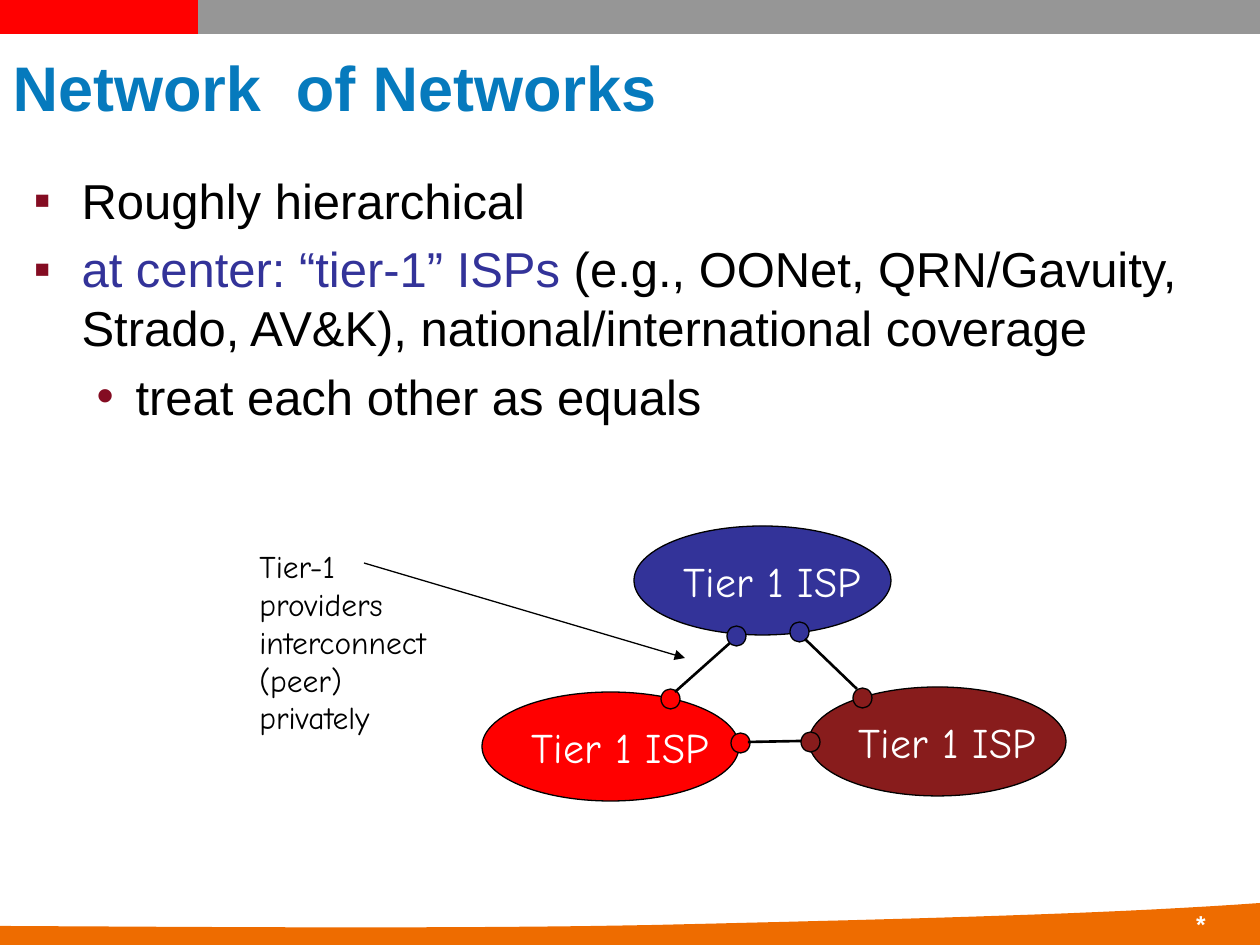
from pptx import Presentation, util as u
from pptx.dml.color import RGBColor
from pptx.enum import shapes as es, text as et
from pptx.oxml import parse_xml
from pptx.oxml.ns import nsdecls, qn
from lxml import etree

PX = 914400 // 126
BLACK, WHITE, RED, NAVY, MAROON = "000000", "FFFFFF", "FF0000", "333399", "881C1C"
HEAD = "Network  of Networks"
BODY = [
    (0, "▪", 48, 48, [("Roughly hierarchical", BLACK)]),
    (0, "▪", 48, 48, [
        ("at center: “tier-1” ISPs ", NAVY),
        ("(e.g., OONet, QRN/Gavuity, Strado, AV&K), national/international coverage", BLACK)]),
    (1, "•", 102, 39, [("treat each other as equals", BLACK)]),
]
NOTE = "Tier-1 providers interconnect (peer) privately"
ISPS = [(482, 692, RED), (634, 526, NAVY), (809, 687, MAROON)]
DOTS = [(853, 688, MAROON), (790, 622, NAVY), (727, 626, NAVY),
        (661, 689, RED), (731, 733, RED), (801, 732, MAROON)]
LINKS = [(748, 742, 801, 741), (805, 639, 857, 689), (675, 692, 730, 643)]
WAVE = [[(0, 926), (222, 927), (444, 929), (654, 925)],
        [(654, 925), (864, 920), (1096, 915), (1260, 903)]]

prs = Presentation()
prs.slide_width, prs.slide_height = 1260 * PX, 945 * PX
slide = prs.slides.add_slide(prs.slide_layouts[1])
parts = slide.shapes


def rgb(code):
    return RGBColor.from_string(code)


def place(shape, *box):
    shape.left, shape.top, shape.width, shape.height = (v * PX for v in box)


def style(font, size, color, name="Arial", bold=False):
    font.size, font.name, font.bold = u.Pt(size), name, bold
    font.color.rgb = rgb(color)


def line(ends, color=BLACK, width=0.75, arrow=False):
    link = parts.add_connector(es.MSO_CONNECTOR.STRAIGHT, *(v * PX for v in ends))
    link.line.color.rgb, link.line.width = rgb(color), u.Pt(width)
    if arrow:
        etree.SubElement(link.line._get_or_add_ln(), qn("a:tailEnd"), type="triangle")
    etree.SubElement(link._element.spPr, qn("a:effectLst"))


def oval(x, y, wide, high, color):
    shape = parts.add_shape(es.MSO_SHAPE.OVAL, *(v * PX for v in (x, y, wide, high)))
    shape.shadow.inherit = False
    shape.fill.solid()
    shape.fill.fore_color.rgb = rgb(color)
    shape.line.color.rgb, shape.line.width = rgb(BLACK), u.Pt(0.75)
    return shape


def label(box, words, size, color, name, bold=False):
    shape = parts.add_textbox(*(v * PX for v in box))
    shape.text_frame.word_wrap = True
    para = shape.text_frame.paragraphs[0]
    para.text = words
    style(para.font, size, color, name, bold)
    return para


def curve(a, b, c, d, steps=20):
    for i in range(1, steps + 1):
        t = i / steps
        s = 1 - t
        yield tuple(round((s**3 * p + 3 * s * s * t * q + 3 * s * t * t * r + t**3 * v) * PX)
                    for p, q, r, v in zip(a, b, c, d))


line((0, 17, 1260, 17), "969696", 20)
edge = [p for part in WAVE for p in curve(*part)]
form = parts.build_freeform(0, 926 * PX, 1.0)
form.add_line_segments(edge + [(1260 * PX, 945 * PX), (0, 945 * PX)], close=True)
wave = form.convert_to_shape()
wave.shadow.inherit = False
wave.fill.solid()
wave.fill.fore_color.rgb = rgb("EE6C00")
wave.line.fill.background()
star = label((1134, 903, 84, 42), "*", 14, WHITE, "Arial", True)
star.alignment = et.PP_ALIGN.RIGHT
star._p.get_or_add_pPr().insert(
    0, parse_xml('<a:spcBef %s><a:spcPct val="50000"/></a:spcBef>' % nsdecls("a")))
line((0, 17, 198, 17), RED, 20)

title = parts.title
place(title, 0, 40, 1229, 93)
title.text_frame.vertical_anchor = et.MSO_ANCHOR.MIDDLE
para = title.text_frame.paragraphs[0]
para.text, para.alignment = HEAD, et.PP_ALIGN.LEFT
style(para.font, 36, "067ABD", bold=True)

body = slide.placeholders[1]
place(body, 21, 164, 1229, 725)
frame = body.text_frame
for i, (level, mark, left, hang, runs) in enumerate(BODY):
    para = frame.add_paragraph() if i else frame.paragraphs[0]
    para.level = level
    for words, color in runs:
        run = para.add_run()
        run.text = words
        style(run.font, 28, color)
    prop = para._p.get_or_add_pPr()
    prop.set("marL", str(left * PX))
    prop.set("indent", str(-hang * PX))
    tint = etree.SubElement(prop, qn("a:buClr"))
    etree.SubElement(tint, qn("a:srgbClr"), val="840C22")
    etree.SubElement(prop, qn("a:buFont"), typeface="Arial")
    etree.SubElement(prop, qn("a:buChar"), char=mark)

for x, y, color in ISPS:
    isp = oval(x, y, 257, 109, color)
    frame = isp.text_frame
    frame.word_wrap, frame.vertical_anchor = False, et.MSO_ANCHOR.MIDDLE
    para = frame.paragraphs[0]
    para.text, para.alignment = "Tier 1 ISP", et.PP_ALIGN.LEFT
    style(para.font, 24, WHITE, "Comic Neue")
for x, y, color in DOTS:
    oval(x, y, 19, 20, color)
for ends in LINKS:
    line(ends, width=1.5)
label((247, 541, 215, 202), NOTE, 18, BLACK, "Comic Neue")
line((364, 563, 685, 658), arrow=True)

prs.save("out.pptx")
